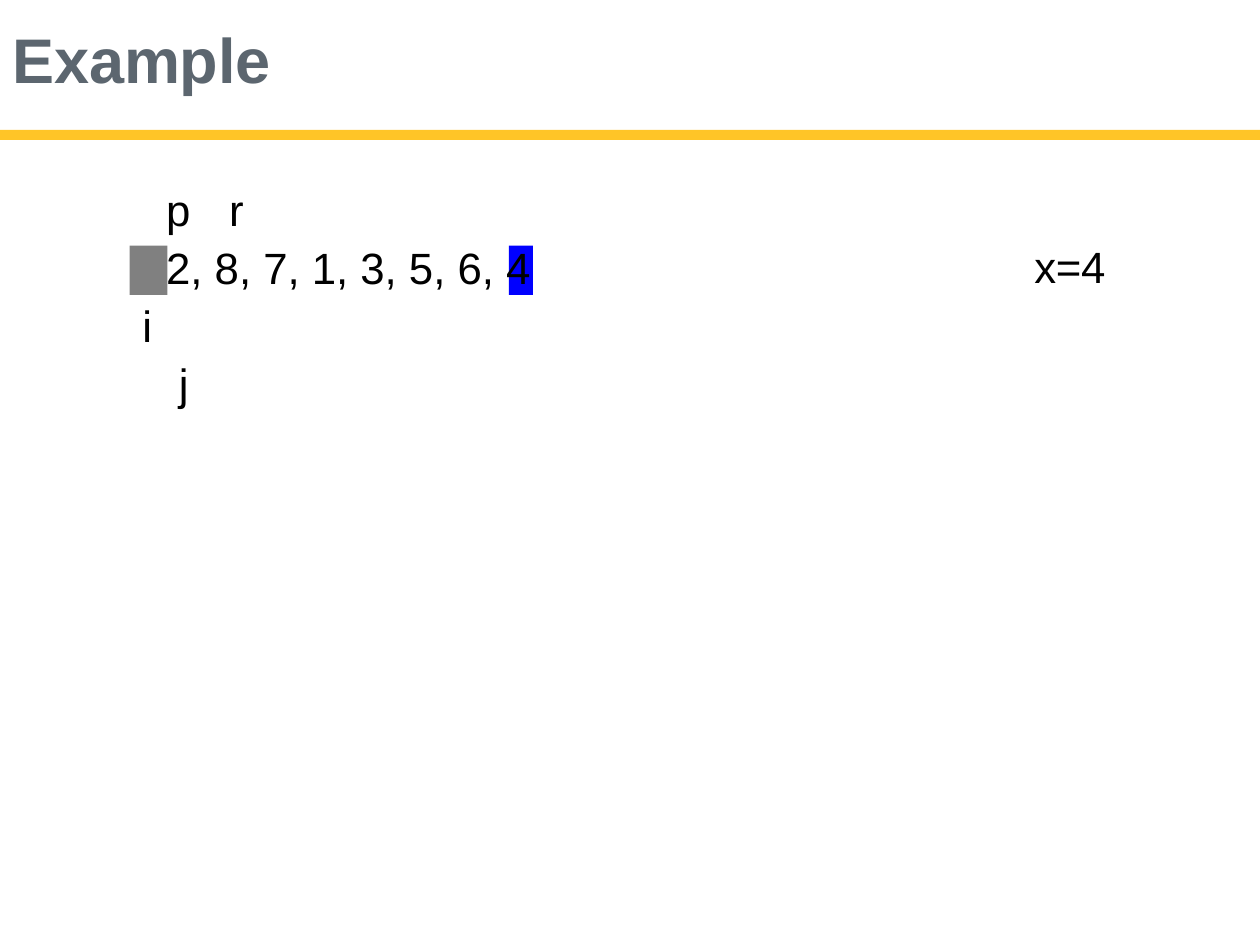
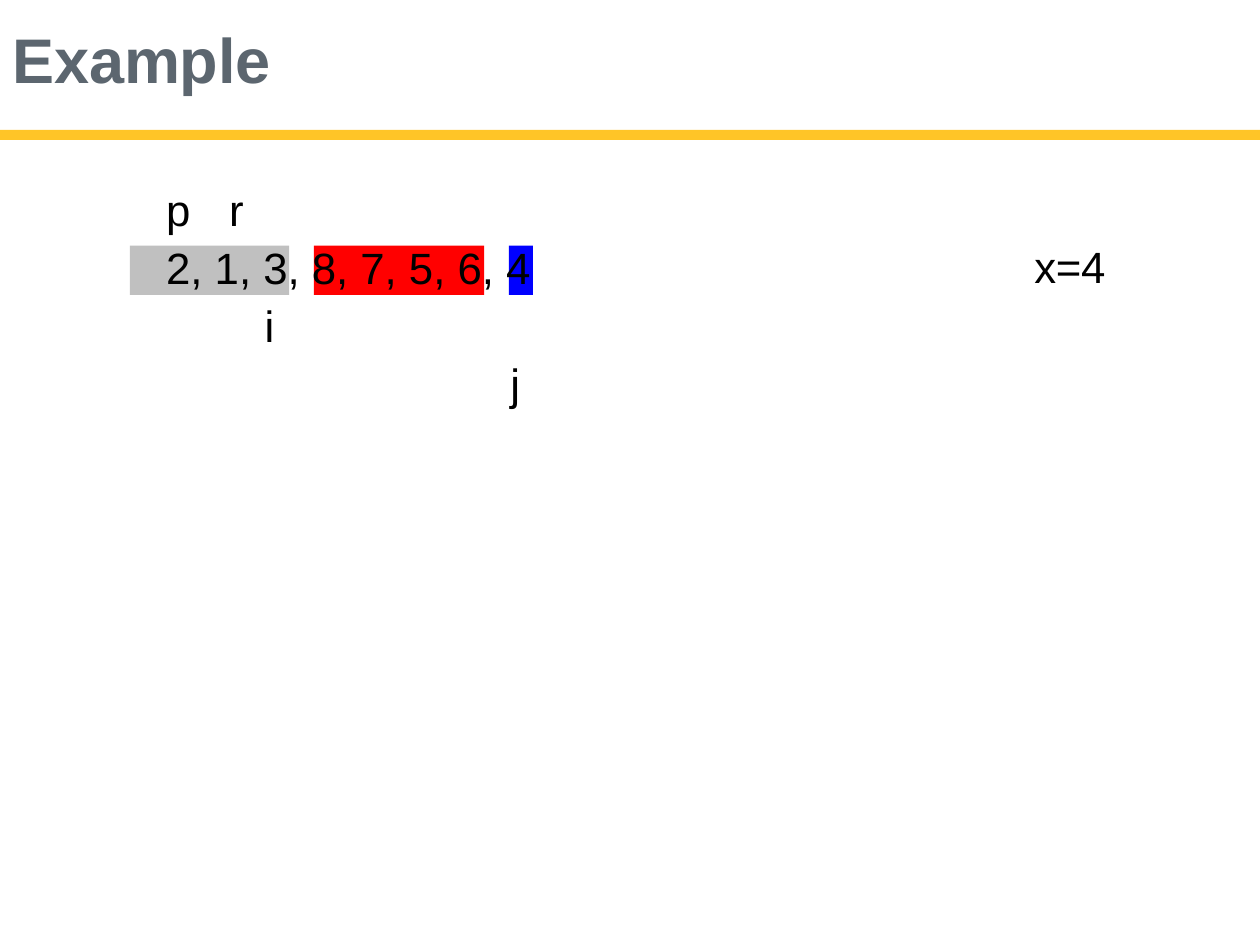
from lxml.etree import SubElement
from pptx import Presentation
from pptx.dml.color import RGBColor
from pptx.enum.shapes import MSO_SHAPE
from pptx.enum.text import MSO_ANCHOR, MSO_AUTO_SIZE, PP_ALIGN
from pptx.oxml.ns import qn
from pptx.util import Inches, Pt

SLATE = RGBColor(0x5C, 0x66, 0x6F)
GOLD = RGBColor(0xFF, 0xC5, 0x27)
BLACK = RGBColor(0, 0, 0)
GREY = RGBColor(0x80, 0x80, 0x80)
SILVER = RGBColor(0xC0, 0xC0, 0xC0)
RED = RGBColor(0xFF, 0, 0)
BLUE = RGBColor(0, 0, 0xFF)

TITLE = "Example"
PIVOT_NOTE = "x=4"
LEAD = -1
STEPS = [
    {"values": [2, 8, 7, 1, 3, 5, 6, 4],
     "regions": [(LEAD, LEAD, GREY), (7, 7, BLUE)],
     "i_left": 1.12, "j_indent": 0.3},
    {"values": [2, 1, 3, 8, 7, 5, 6, 4],
     "regions": [(LEAD, 2, SILVER), (3, 6, RED), (7, 7, BLUE)],
     "i_left": 2.09, "j_indent": 1.96},
]

FONT = "Arial"
LEAD_LEFT, FIRST_LEFT = 1.03, 1.33
VALUE_PITCH, VALUE_WIDTH = 0.387, 0.19
REGION_TOP, REGION_HEIGHT = 1.95, 0.39


def add_block(slide, left, top, width, height, colour):
    """Add a plain filled rectangle."""
    block = slide.shapes.add_shape(
        MSO_SHAPE.RECTANGLE, Inches(left), Inches(top), Inches(width), Inches(height))
    block.shadow.inherit = False
    block.fill.solid()
    block.fill.fore_color.rgb = colour
    block.line.fill.background()
    return block


def set_frame(frame, top_inset):
    """Give a text frame its insets, wrapping and anchor."""
    frame.margin_left = frame.margin_right = frame.margin_bottom = 0
    frame.margin_top = Inches(top_inset)
    frame.word_wrap = True
    frame.auto_size = MSO_AUTO_SIZE.SHAPE_TO_FIT_TEXT
    frame.vertical_anchor = MSO_ANCHOR.TOP


def format_paragraph(paragraph, before, spacings, indent=0.01, size=25,
                     colour=BLACK, bold=False, tab=None):
    """Format a paragraph and its runs, one letter spacing per run."""
    paragraph.alignment = PP_ALIGN.LEFT
    paragraph.line_spacing = 1.0
    paragraph.space_before = Pt(before)
    properties = paragraph._p.get_or_add_pPr()
    properties.set("marL", str(Inches(indent)))
    properties.set("indent", "0")
    if tab:
        stops = SubElement(properties, qn("a:tabLst"))
        SubElement(stops, qn("a:tab"), pos=str(Inches(tab)), algn="l")
    for run, spacing in zip(paragraph.runs, spacings):
        run.font.name = FONT
        run.font.size = Pt(size)
        run.font.bold = bold
        run.font.color.rgb = colour
        run._r.get_or_add_rPr().set("spc", str(round(spacing * 100)))


def add_text(slide, left, top, width, height, top_inset, text):
    """Add a text box and return its paragraphs."""
    frame = slide.shapes.add_textbox(
        Inches(left), Inches(top), Inches(width), Inches(height)).text_frame
    set_frame(frame, top_inset)
    frame.text = text
    return frame.paragraphs


def add_title(slide):
    """Place and format the slide title."""
    title = slide.shapes.title
    title.left, title.top = Inches(0.09), Inches(0.15)
    title.width, title.height = Inches(9.11), Inches(0.63)
    set_frame(title.text_frame, 0.01)
    title.text_frame.text = TITLE
    format_paragraph(title.text_frame.paragraphs[0], 1, [-0.1],
                     size=36, colour=SLATE, bold=True)


def add_step(slide, step):
    """Draw one state of the partition."""
    for first, last, colour in step["regions"]:
        left = LEAD_LEFT if first == LEAD else FIRST_LEFT + first * VALUE_PITCH
        right = FIRST_LEFT if last == LEAD else FIRST_LEFT + last * VALUE_PITCH + VALUE_WIDTH
        add_block(slide, left, REGION_TOP, right - left, REGION_HEIGHT, colour)

    *others, pivot = step["values"]
    listed = "".join(f"{value}, " for value in others)
    bounds, values = add_text(slide, 1.31, 1.39, 2.93, 0.94, 0.06, "p\tr\n" + listed)
    values.add_run().text = str(pivot)
    format_paragraph(bounds, 4, [-0.5], tab=2.73)
    format_paragraph(values, 3, [0, -0.5])

    note, = add_text(slide, 8.2, 1.89, 0.59, 0.44, 0.01, PIVOT_NOTE)
    format_paragraph(note, 0.9, [-0.2])

    i_mark, j_mark = add_text(slide, step["i_left"], 2.31, step["j_indent"] + 0.1,
                              0.94, 0.06, "i\nj")
    format_paragraph(i_mark, 4, [-0.5])
    format_paragraph(j_mark, 3, [-0.5], indent=step["j_indent"])


def main():
    """Build the slides."""
    deck = Presentation()
    deck.slide_width, deck.slide_height = Inches(10), Inches(7.5)
    layout = deck.slide_layouts.get_by_name("Title Only")
    slides = [deck.slides.add_slide(layout) for _ in STEPS]
    band = add_block(slides[0], 0, 1.03, 10, 0.08, GOLD)
    layout.shapes.element.append(band.element)
    for slide, step in zip(slides, STEPS):
        add_title(slide)
        add_step(slide, step)
    deck.save("out.pptx")


if __name__ == "__main__":
    main()
